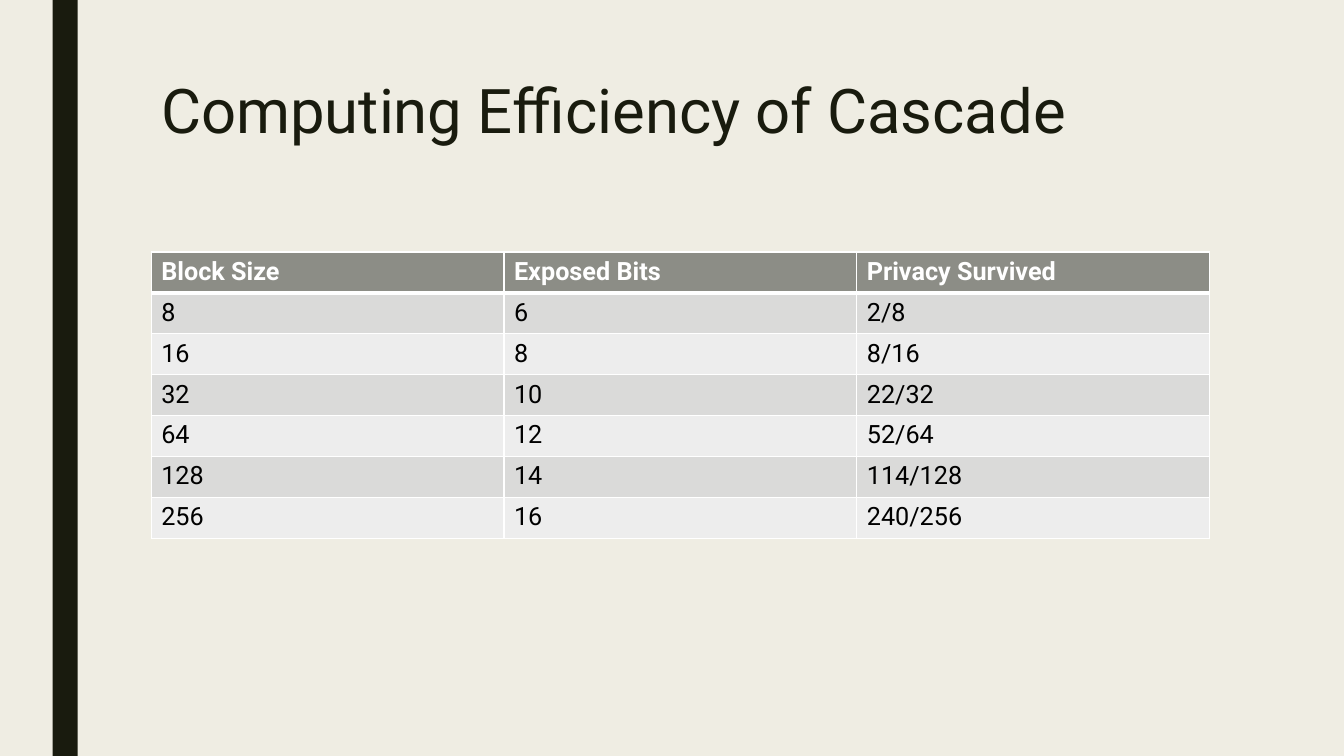
import pptx
import pptx.dml.color
import pptx.enum.shapes
import pptx.enum.text
import pptx.oxml
import pptx.oxml.ns
import pptx.util

Pt = pptx.util.Pt
FONT = "Roboto"
COLORS = {
    "background": "EFEDE3",
    "dark": "191B0E",
    "header": "8C8D86",
    "odd": "DADAD9",
    "even": "EDEDED",
    "white": "FFFFFF",
    "black": "000000",
}
ROWS = [
    ("Block Size", "Exposed Bits", "Privacy Survived"),
    ("8", "6", "2/8"),
    ("16", "8", "8/16"),
    ("32", "10", "22/32"),
    ("64", "12", "52/64"),
    ("128", "14", "114/128"),
    ("256", "16", "240/256"),
]


def color(name):
    return pptx.dml.color.RGBColor.from_string(COLORS[name])


def format_paragraph(paragraph, size, color_name, bold=False):
    paragraph.font.name = FONT
    paragraph.font.size = Pt(size)
    paragraph.font.bold = bold
    paragraph.font.color.rgb = color(color_name)


def add_side_bar(slide, left, top, width, height):
    bar = slide.shapes.add_shape(
        pptx.enum.shapes.MSO_SHAPE.RECTANGLE, Pt(left), Pt(top), Pt(width), Pt(height)
    )
    bar.shadow.inherit = False
    bar.fill.solid()
    bar.fill.fore_color.rgb = color("dark")
    bar.line.fill.background()


def add_title(slide, text, left, top, width, height):
    title = slide.shapes.title
    title.left, title.top, title.width, title.height = map(Pt, (left, top, width, height))
    frame = title.text_frame
    frame.text = text
    frame.word_wrap = True
    frame.vertical_anchor = pptx.enum.text.MSO_ANCHOR.TOP
    paragraph = frame.paragraphs[0]
    paragraph.alignment = pptx.enum.text.PP_ALIGN.LEFT
    paragraph.line_spacing = 0.89
    format_paragraph(paragraph, 44, "dark")


def set_borders(cell, widths):
    properties = cell._tc.get_or_add_tcPr()
    for index, (side, width) in enumerate(widths.items()):
        border = pptx.oxml.parse_xml(
            f'<a:ln{side} {pptx.oxml.ns.nsdecls("a")} w="{Pt(width)}">'
            f'<a:solidFill><a:srgbClr val="{COLORS["white"]}"/></a:solidFill></a:ln{side}>'
        )
        properties.insert(index, border)


def add_efficiency_table(slide, rows, left, top, width, height):
    column_count = len(rows[0])
    table = slide.shapes.add_table(
        len(rows), column_count, Pt(left), Pt(top), Pt(width), Pt(height)
    ).table
    for column in table.columns:
        column.width = Pt(width / column_count)
    for row_index, values in enumerate(rows):
        table.rows[row_index].height = Pt(height / len(rows))
        is_header = row_index == 0
        fill_name = "header" if is_header else ("even", "odd")[row_index % 2]
        widths = {
            "L": 0.96,
            "R": 0.96,
            "T": 3 if row_index == 1 else 0.96,
            "B": 3 if is_header else 0.96,
        }
        for column_index, value in enumerate(values):
            cell = table.cell(row_index, column_index)
            cell.text = value
            cell.fill.solid()
            cell.fill.fore_color.rgb = color(fill_name)
            format_paragraph(
                cell.text_frame.paragraphs[0], 18, "white" if is_header else "black", is_header
            )
            set_borders(cell, widths)


def main():
    presentation = pptx.Presentation()
    presentation.slide_width = Pt(960)
    presentation.slide_height = Pt(540)
    slide = presentation.slides.add_slide(presentation.slide_layouts.get_by_name("Title Only"))
    slide.background.fill.solid()
    slide.background.fill.fore_color.rgb = color("background")
    add_side_bar(slide, 37.5, 0, 18, 540)
    add_title(slide, "Computing Efficiency of Cascade", 108, 54, 756, 117)
    add_efficiency_table(slide, ROWS, 108, 180, 756, 204.4)
    presentation.save("out.pptx")


if __name__ == "__main__":
    main()
